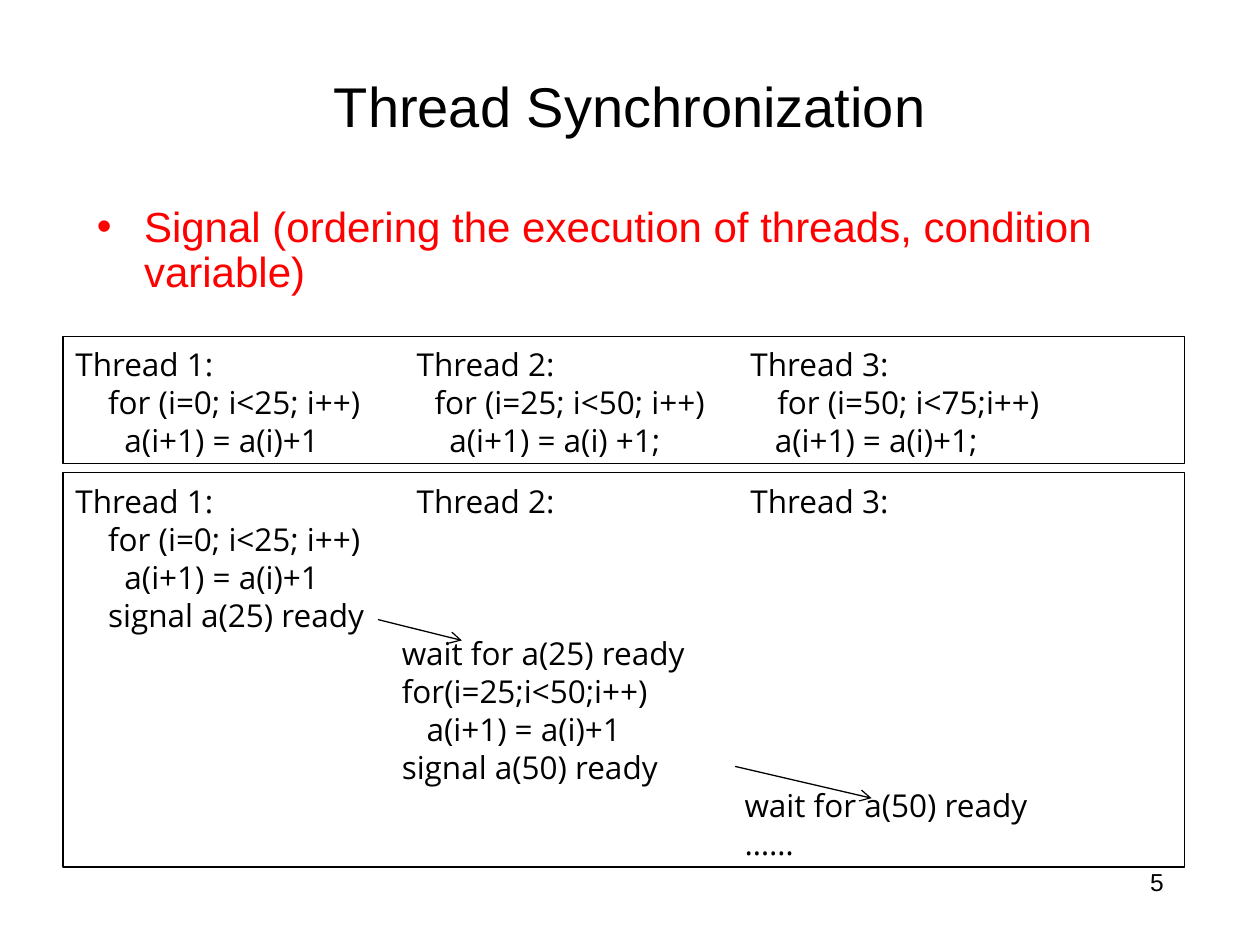
from dataclasses import dataclass

import pptx
import pptx.dml.color
import pptx.enum.shapes
import pptx.enum.text
import pptx.oxml
import pptx.oxml.ns
import pptx.util
from lxml import etree

Cm = pptx.util.Cm
Pt = pptx.util.Pt
qn = pptx.oxml.ns.qn
ALIGN = pptx.enum.text.PP_ALIGN
ANCHOR = pptx.enum.text.MSO_ANCHOR


@dataclass
class Theme:
    ink: str = "000000"
    accent: str = "FF0000"
    font: str = "Arial"
    code_font: str = "Open Sans"
    title_size: float = 32
    body_size: float = 24
    code_size: float = 18
    code_leading: float = 21.7
    number_size: float = 14
    line_width: float = 0.75


def rgb(value):
    return pptx.dml.color.RGBColor.from_string(value)


def write(p, text, font, size, color, align=ALIGN.LEFT, spacing=None):
    r = p.add_run()
    r.text = text
    r.font.name = font
    r.font.size = Pt(size)
    r.font.color.rgb = rgb(color)
    p.alignment = align
    if spacing is not None:
        p.line_spacing = spacing


class SlideBuilder:
    def __init__(self, prs, theme):
        self.theme = theme
        self.s = prs.slides.add_slide(prs.slide_layouts[1])

    def place(self, sp, box, anchor=ANCHOR.TOP):
        sp.left, sp.top, sp.width, sp.height = [Cm(v) for v in box]
        tf = sp.text_frame
        tf.word_wrap = True
        tf.auto_size = pptx.enum.text.MSO_AUTO_SIZE.NONE
        tf.vertical_anchor = anchor
        return tf.paragraphs[0]

    def title(self, text, box):
        t = self.theme
        p = self.place(self.s.shapes.title, box, ANCHOR.MIDDLE)
        write(p, text, t.font, t.title_size, t.ink, align=ALIGN.CENTER)

    def bullet(self, text, box):
        t = self.theme
        p = self.place(self.s.placeholders[1], box)
        write(p, text, t.font, t.body_size, t.accent, spacing=0.9)
        pPr = p._p.get_or_add_pPr()
        pPr.set("marL", str(Cm(0.95)))
        pPr.set("indent", str(-Cm(0.95)))
        etree.SubElement(pPr, qn("a:buChar"), char="•")

    def code_box(self, rows, box):
        t = self.theme
        sp = self.s.shapes.add_shape(
            pptx.enum.shapes.MSO_SHAPE.RECTANGLE, *[Cm(v) for v in box])
        sp.shadow.inherit = False
        sp.fill.background()
        sp.line.color.rgb = rgb(t.ink)
        sp.line.width = Pt(t.line_width)
        p = self.place(sp, box)
        tf = sp.text_frame
        tf.margin_top = Cm(0.18)
        for i, row in enumerate(rows):
            if i:
                p = tf.add_paragraph()
            text = "".join("\t" + cell if x else cell for x, cell in row)
            write(p, text, t.code_font, t.code_size, t.ink,
                  spacing=Pt(t.code_leading))
            tabs = etree.SubElement(p._p.get_or_add_pPr(), qn("a:tabLst"))
            for x, _ in row:
                if x:
                    etree.SubElement(tabs, qn("a:tab"), pos=str(Cm(x)), algn="l")

    def arrow(self, *ends):
        t = self.theme
        c = self.s.shapes.add_connector(
            pptx.enum.shapes.MSO_CONNECTOR.STRAIGHT, *[Cm(v) for v in ends])
        c.line.color.rgb = rgb(t.ink)
        c.line.width = Pt(t.line_width)
        etree.SubElement(c.line._get_or_add_ln(), qn("a:tailEnd"), type="arrow")
        etree.SubElement(c._element.spPr, qn("a:effectLst"))

    def number(self, text, box):
        t = self.theme
        sp = self.s.shapes.add_textbox(*[Cm(v) for v in box])
        write(self.place(sp, box), text, t.font, t.number_size, t.ink,
              align=ALIGN.RIGHT)


prs = pptx.Presentation()
prs.slide_width, prs.slide_height = Cm(25.4), Cm(19.05)
slide = SlideBuilder(prs, Theme())

heads = [(0, "Thread 1:"), (6.88, "Thread 2:"), (13.61, "Thread 3:")]
first_loop = (0.66, "for (i=0; i<25; i++)")
first_step = (0.99, "a(i+1) = a(i)+1")
col2, col3 = 6.58, 13.49

parallel = [
    heads,
    [first_loop, (7.24, "for (i=25; i<50; i++)"), (14.15, "for (i=50; i<75;i++)")],
    [first_step, (7.54, "a(i+1) = a(i) +1;"), (14.1, "a(i+1) = a(i)+1;")],
]
signalled = [
    heads,
    [first_loop],
    [first_step],
    [(0.66, "signal a(25) ready")],
    [(col2, "wait for a(25) ready")],
    [(col2, "for(i=25;i<50;i++)")],
    [(col2 + 0.5, "a(i+1) = a(i)+1")],
    [(col2, "signal a(50) ready")],
    [(col3, "wait for a(50) ready")],
    [(col3, "……")],
]

slide.title("Thread Synchronization", (1.9, 1.06, 21.6, 2.12))
slide.bullet("Signal (ordering the execution of threads, condition variable)",
             (1.7, 4.02, 21.6, 11.85))
slide.code_box(parallel, (1.27, 6.78, 22.61, 2.57))
slide.code_box(signalled, (1.27, 9.53, 22.61, 7.95))
slide.arrow(14.82, 15.45, 17.57, 16.09)
slide.arrow(7.62, 12.49, 9.31, 12.91)
slide.number("5", (18.42, 17.36, 5.29, 1.27))

prs.save("out.pptx")
